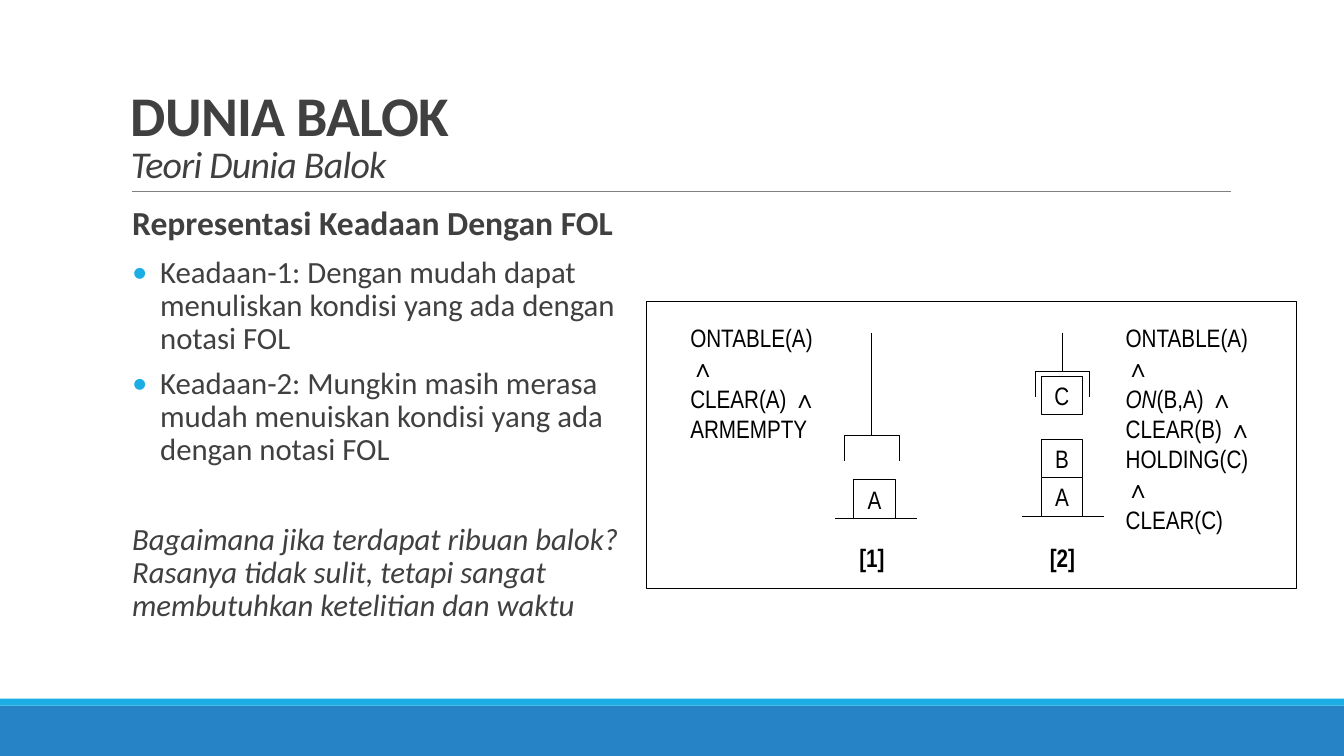
import pptx
import pptx.dml.color
import pptx.enum.shapes
import pptx.enum.text
import pptx.oxml.ns
import pptx.util
from lxml import etree

Pt = pptx.util.Pt
ALIGN = pptx.enum.text.PP_ALIGN
ANCHOR = pptx.enum.text.MSO_ANCHOR
qn = pptx.oxml.ns.qn

THEME = {
    "ink": "404040", "black": "000000", "white": "FFFFFF", "rule": "808080",
    "blue": "2683C6", "cyan": "1CADE4",
    "body_font": "Calibri", "diagram_font": "Arial Narrow",
    "title": 40, "subtitle": 27, "heading": 24, "body": 22, "diagram": 18,
}
BLOCK_WIDTH, BLOCK_HEIGHT = 29.5, 27.4
ARM_TOP = 237.6


def color(name):
    return pptx.dml.color.RGBColor.from_string(THEME[name])


def set_all(target, values):
    for name, value in values.items():
        setattr(target, name, value)


def add_span(para, text, size, font="body_font", ink="ink", **style):
    span = para.add_run()
    span.text = text
    set_all(span.font, {"name": THEME[font], "size": Pt(THEME[size]), **style})
    span.font.color.rgb = color(ink)
    return span


def add_diagram_span(para, text, **style):
    return add_span(para, text, "diagram", "diagram_font", "black", **style)


def add_box(page, left, top, width, height, **frame):
    box = page.shapes.add_textbox(Pt(left), Pt(top), Pt(width), Pt(height))
    set_all(box.text_frame, {"word_wrap": True, **frame})
    return box.text_frame


def next_para(frame, first):
    return frame.paragraphs[0] if first else frame.add_paragraph()


def add_rect(page, left, top, width, height, fill=None, line=None):
    shape = page.shapes.add_shape(
        pptx.enum.shapes.MSO_SHAPE.RECTANGLE, Pt(left), Pt(top), Pt(width), Pt(height))
    shape.shadow.inherit = False
    if fill:
        shape.fill.solid()
        shape.fill.fore_color.rgb = color(fill)
    else:
        shape.fill.background()
    if line:
        shape.line.color.rgb = color(line)
        shape.line.width = Pt(0.75)
    else:
        shape.line.fill.background()
    return shape


def add_line(page, x1, y1, x2, y2, ink="black", width=0.75):
    line = page.shapes.add_connector(
        pptx.enum.shapes.MSO_CONNECTOR.STRAIGHT, Pt(x1), Pt(y1), Pt(x2), Pt(y2))
    line.line.color.rgb = color(ink)
    line.line.width = Pt(width)
    etree.SubElement(line._element.spPr, qn("a:effectLst"))


def add_bullet(para):
    properties = para._p.get_or_add_pPr()
    properties.set("marL", str(Pt(28)))
    properties.set("indent", str(Pt(-20)))
    bullet_color = etree.SubElement(properties, qn("a:buClr"))
    etree.SubElement(bullet_color, qn("a:srgbClr")).set("val", THEME["cyan"])
    etree.SubElement(properties, qn("a:buFont")).set("typeface", "Calibri")
    etree.SubElement(properties, qn("a:buChar")).set("char", "•")


def add_title(page):
    frame = add_box(page, 86.4, 22.3, 792, 114.5, vertical_anchor=ANCHOR.BOTTOM)
    para = frame.paragraphs[0]
    para.line_spacing = 0.85
    title = add_span(para, "DUNIA BALOK", "title", bold=True)
    para.add_line_break()
    subtitle = add_span(para, "Teori Dunia Balok", "subtitle", italic=True)
    for span in (title, subtitle):
        span._r.get_or_add_rPr().set("spc", "-50")


def add_body(page):
    frame = add_box(page, 86.4, 144, 357, 347, margin_left=0, margin_right=0)
    rows = [
        ("Representasi Keadaan Dengan FOL", "heading", False, 0, 6, {"bold": True}),
        ("Keadaan-1: Dengan mudah dapat menuliskan kondisi yang ada dengan notasi FOL",
         "body", True, 4, 4, {}),
        ("Keadaan-2: Mungkin masih merasa mudah menuiskan kondisi yang ada dengan notasi FOL",
         "body", True, 4, 4, {}),
        ("Bagaimana jika terdapat ribuan balok? Rasanya tidak sulit, tetapi sangat "
         "membutuhkan ketelitian dan waktu", "body", False, 36, 4, {"italic": True}),
    ]
    for index, (text, size, bulleted, before, after, style) in enumerate(rows):
        para = next_para(frame, index == 0)
        if bulleted:
            add_bullet(para)
        else:
            para._p.get_or_add_pPr().set("marL", str(Pt(8)))
        set_all(para, {"line_spacing": 0.9, "space_before": Pt(before),
                       "space_after": Pt(after)})
        add_span(para, text, size, **style)


def add_block(page, letter, center, top):
    block = add_rect(page, center - BLOCK_WIDTH / 2, top, BLOCK_WIDTH, BLOCK_HEIGHT,
                     "white", "black")
    set_all(block.text_frame, {
        "margin_left": 0, "margin_right": 0, "margin_top": 0, "margin_bottom": 0,
        "word_wrap": False, "vertical_anchor": ANCHOR.MIDDLE})
    para = block.text_frame.paragraphs[0]
    para.alignment = ALIGN.CENTER
    add_diagram_span(para, letter)


def add_arm(page, center, bar):
    left, right = center - 19.5, center + 19.5
    add_line(page, center, ARM_TOP, center, bar)
    add_line(page, left, bar, right, bar)
    for finger in (left, right):
        add_line(page, finger, bar, finger, bar + 18)


def add_state(page, label, arm, stack_center, bar, table, stack, held=None):
    if held:
        add_block(page, held, stack_center, bar + 3)
    for level, letter in enumerate(stack, 1):
        add_block(page, letter, stack_center, table - level * BLOCK_HEIGHT)
    add_line(page, stack_center + 1 - 29.3, table, stack_center + 1 + 29.3, table)
    add_arm(page, arm, bar)
    frame = add_box(page, arm - 24.5, 383.8, 49, 36.7)
    frame.paragraphs[0].alignment = ALIGN.CENTER
    add_diagram_span(frame.paragraphs[0], label, bold=True)


def add_facts(page, left, height, facts):
    frame = add_box(page, left, 226.8, 117.4, height, margin_right=Pt(18))
    for index, spans in enumerate(facts):
        para = next_para(frame, index == 0)
        for text, italic in spans:
            add_diagram_span(para, text, italic=italic)


def main():
    deck = pptx.Presentation()
    set_all(deck, {"slide_width": Pt(960), "slide_height": Pt(540)})
    page = deck.slides.add_slide(deck.slide_layouts[6])
    add_rect(page, 0, 504, 960, 36, "blue")
    add_rect(page, 0, 499, 960, 5, "cyan")
    add_line(page, 94.3, 136.8, 879, 136.8, "rule", 0.5)
    add_title(page)
    add_body(page)
    add_rect(page, 461.5, 215.3, 464.4, 205.2, line="black")
    add_state(page, "[1]", 622.8, 624.6, 311, 370.1, "A")
    add_state(page, "[2]", 758.9, 758.5, 265.7, 368.6, "AB", "C")
    add_facts(page, 486, 72.7, [
        [("ONTABLE(A) ∧", False)], [("CLEAR(A) ∧", False)], [("ARMEMPTY", False)]])
    add_facts(page, 797, 94.3, [
        [("ONTABLE(A) ∧", False)], [("ON", True), ("(B,A) ∧", False)],
        [("CLEAR(B) ∧", False)], [("HOLDING(C) ∧", False)], [("CLEAR(C)", False)]])
    deck.save("out.pptx")


if __name__ == "__main__":
    main()
